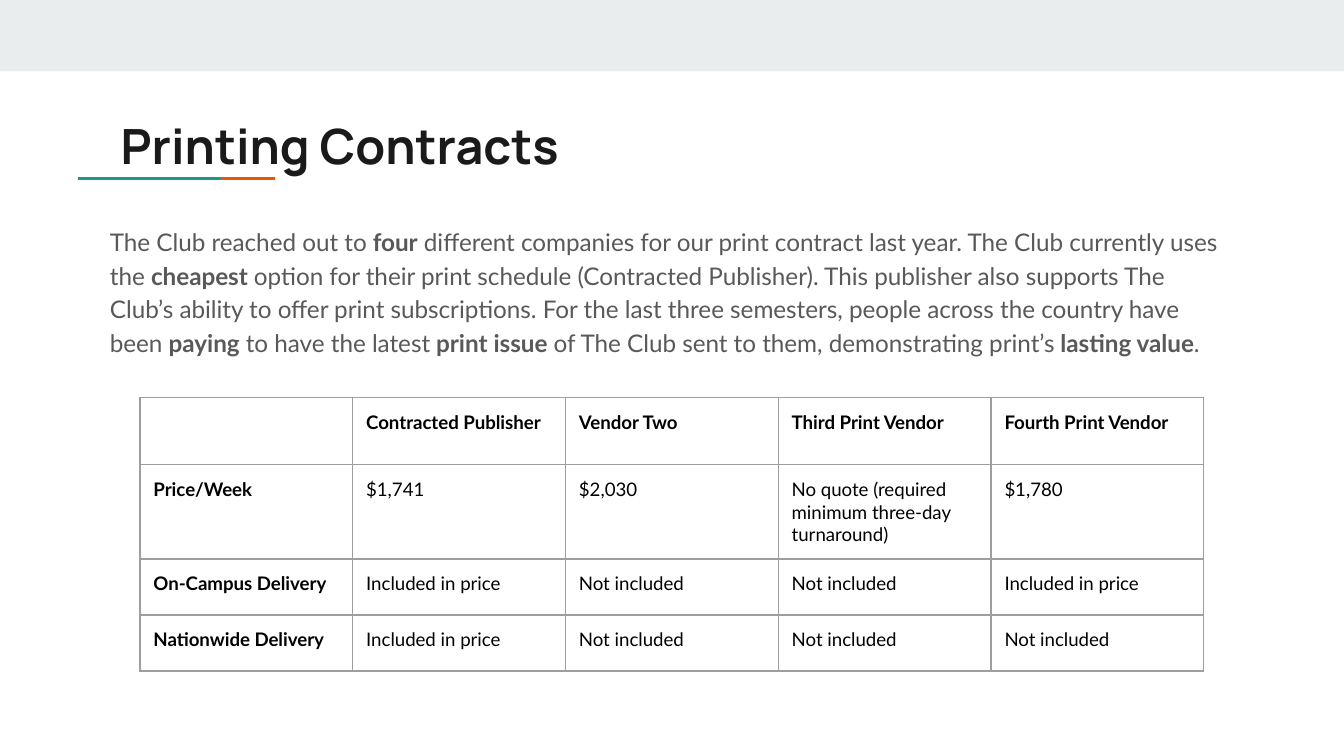
"""Build the printing contracts slide: title, summary and quote table."""
from dataclasses import dataclass

import lxml.etree
import pptx
import pptx.dml.color
import pptx.enum.shapes
import pptx.enum.text
import pptx.oxml.ns
import pptx.util

Pt = pptx.util.Pt
INSET = 7.2
GREY = "9E9E9E"


@dataclass
class Box:
    left: float
    top: float
    width: float
    height: float

    def spans(self) -> list:
        return [Pt(n) for n in (self.left, self.top, self.width, self.height)]


@dataclass
class Bar:
    box: Box
    fill: str


BARS = [
    Bar(Box(0, 0, 720, 38.2), "E9EDEE"),
    Bar(Box(70.9, 94.9, 76.6, 1.5), "EB5600"),
    Bar(Box(41.8, 94.9, 76.6, 1.5), "1A9988"),
]
TITLE = Box(57.6, 54.7, 605.5, 42.5)
BODY = Box(51.8, 112.3, 615.6, 93.6)
GRID = Box(75, 213, 570, 120)
STORY = (
    "The Club reached out to **four** different companies for our print contract "
    "last year. The Club currently uses the **cheapest** option for their print "
    "schedule (Contracted Publisher). This publisher also supports The Club’s "
    "ability to offer print subscriptions. For the last three semesters, people "
    "across the country have been **paying** to have the latest **print issue** of "
    "The Club sent to them, demonstrating print’s **lasting value**."
)
YES, NO = "Included in price", "Not included"
ROWS = [
    ["", "Contracted Publisher", "Vendor Two", "Third Print Vendor",
     "Fourth Print Vendor"],
    ["Price/Week", "$1,741", "$2,030",
     "No quote (required minimum three-day turnaround)", "$1,780"],
    ["On-Campus Delivery", YES, NO, NO, YES],
    ["Nationwide Delivery", YES, NO, NO, NO],
]


def tint(code: str) -> pptx.dml.color.RGBColor:
    return pptx.dml.color.RGBColor.from_string(code)


def write(frame, text: str, *, size: float, font: str = "Lato",
          color: str = "000000", bold: bool = False, lead: float = None) -> None:
    """Write text as one paragraph, with ** switching bold on and off."""
    para = frame.paragraphs[0]
    if lead:
        para.line_spacing = lead
    for index, part in enumerate(text.split("**")):
        if part:
            run = para.add_run()
            run.text = part
            run.font.size = Pt(size)
            run.font.name = font
            run.font.bold = bold or index % 2 == 1
            run.font.color.rgb = tint(color)


def draw_bar(slide, bar: Bar) -> None:
    kind = pptx.enum.shapes.MSO_SHAPE.RECTANGLE
    shape = slide.shapes.add_shape(kind, *bar.box.spans())
    shape.shadow.inherit = False
    shape.fill.solid()
    shape.fill.fore_color.rgb = tint(bar.fill)
    shape.line.fill.background()


def pad(area) -> None:
    area.margin_left = area.margin_right = Pt(INSET)
    area.margin_top = area.margin_bottom = Pt(INSET)


def draw_text(slide, box: Box, text: str, **style) -> None:
    frame = slide.shapes.add_textbox(*box.spans()).text_frame
    frame.word_wrap = True
    frame.vertical_anchor = pptx.enum.text.MSO_ANCHOR.TOP
    pad(frame)
    write(frame, text, **style)


def edge(cell) -> None:
    """Outline a cell on all four sides."""
    qn = pptx.oxml.ns.qn
    props = cell._tc.get_or_add_tcPr()
    for place, side in enumerate(("a:lnL", "a:lnR", "a:lnT", "a:lnB")):
        line = lxml.etree.Element(qn(side), w=str(Pt(0.75)))
        fill = lxml.etree.SubElement(line, qn("a:solidFill"))
        lxml.etree.SubElement(fill, qn("a:srgbClr"), val=GREY)
        props.insert(place, line)


def draw_table(slide, box: Box, rows: list) -> None:
    count = len(rows[0])
    table = slide.shapes.add_table(len(rows), count, *box.spans()).table
    table.horz_banding = False
    for col in table.columns:
        col.width = Pt(box.width / count)
    for y, row in enumerate(rows):
        table.rows[y].height = Pt(box.height / len(rows))
        for x, text in enumerate(row):
            cell = table.cell(y, x)
            cell.fill.background()
            pad(cell)
            edge(cell)
            write(cell.text_frame, text, size=10, bold=y == 0 or x == 0)


def main() -> None:
    deck = pptx.Presentation()
    deck.slide_width, deck.slide_height = Pt(720), Pt(405)
    slide = deck.slides.add_slide(deck.slide_layouts[6])
    for bar in BARS:
        draw_bar(slide, bar)
    draw_text(slide, TITLE, "Printing Contracts", size=26, font="Manrope",
              color="1A1A1A", bold=True)
    draw_text(slide, BODY, STORY, size=13, color="595959", lead=1.15)
    draw_table(slide, GRID, ROWS)
    deck.save("out.pptx")


if __name__ == "__main__":
    main()
